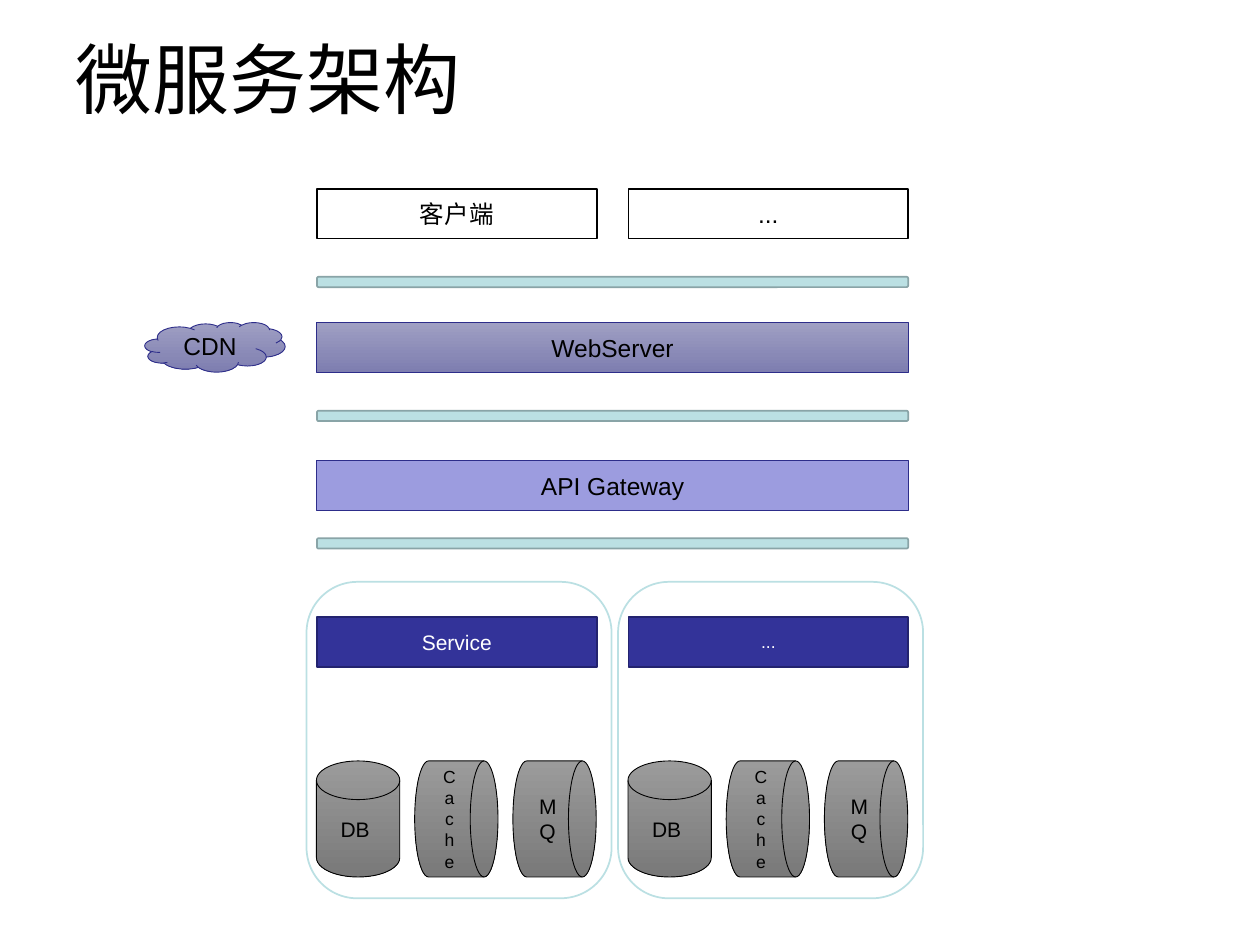
from dataclasses import dataclass

from pptx import Presentation
from pptx.dml.color import RGBColor
from pptx.enum.shapes import MSO_SHAPE as Shape
from pptx.enum.text import MSO_ANCHOR as Anchor, PP_ALIGN as Align
from pptx.util import Cm, Pt

FONT = "Arial"
LEFT, FULL_W, HALF_W = 6.39, 11.92, 5.64
COLUMN_STEP, STORE_STEP, STORE_W = 6.28, 1.98, 1.68
BAR_H = 1.0


@dataclass(frozen=True)
class Style:
    fill: tuple[str, ...]
    line: str
    line_pt: float = 1
    text: str = "000000"


PANEL = Style(("FFFFFF",), "BBE0E3")
CLIENT = Style(("FFFFFF",), "000000")
DIVIDER = Style(("BBE0E3",), "89A4A7")
WEB = Style(("9F9FC3", "7E7EB0"), "2D2D8A", 0.5)
GATEWAY = Style(("9C9CDF",), "2D2D8A", 0.5)
SERVICE = Style(("333399",), "23236F", 1, "FFFFFF")
STORE = Style(("9B9B9B", "797979"), "000000", 0.5)


@dataclass(frozen=True)
class Box:
    kind: Shape
    left: float
    top: float
    width: float
    height: float
    style: Style
    text: str = ""
    size: float = 14


def rgb(value: str) -> RGBColor:
    return RGBColor.from_string(value)


def write(tf, text: str, *, size: float, color: str, align: Align) -> None:
    tf.word_wrap = True
    tf.vertical_anchor = Anchor.MIDDLE
    p = tf.paragraphs[0]
    p.alignment = align
    r = p.add_run()
    r.text = text
    r.font.name = FONT
    r.font.size = Pt(size)
    r.font.color.rgb = rgb(color)


def paint(fill, colors: tuple[str, ...]) -> None:
    if len(colors) == 1:
        fill.solid()
        fill.fore_color.rgb = rgb(colors[0])
        return
    fill.gradient()
    fill.gradient_angle = 270
    for stop, color, position in zip(fill.gradient_stops, colors, (0, 1)):
        stop.color.rgb = rgb(color)
        stop.position = position


def draw(s, box: Box) -> None:
    sp = s.shapes.add_shape(
        box.kind, Cm(box.left), Cm(box.top), Cm(box.width), Cm(box.height))
    sp.shadow.inherit = False
    paint(sp.fill, box.style.fill)
    sp.line.color.rgb = rgb(box.style.line)
    sp.line.width = Pt(box.style.line_pt)
    if box.text:
        write(sp.text_frame, box.text, size=box.size,
              color=box.style.text, align=Align.CENTER)


def draw_column(s, left: float, client: str, service: str, service_size: float) -> None:
    draw(s, Box(Shape.ROUNDED_RECTANGLE, left - 0.21, 11.73, 6.15, 6.38, PANEL))
    draw(s, Box(Shape.FLOWCHART_PROCESS, left, 3.81, HALF_W, BAR_H, CLIENT, client))
    draw(s, Box(Shape.FLOWCHART_PROCESS, left, 12.44, HALF_W, BAR_H,
                SERVICE, service, service_size))
    stores = (
        (Shape.FLOWCHART_MAGNETIC_DISK, "DB ", 12),
        (Shape.FLOWCHART_DIRECT_ACCESS_STORAGE, "Cache", 10),
        (Shape.FLOWCHART_DIRECT_ACCESS_STORAGE, "MQ", 12),
    )
    for i, (kind, text, size) in enumerate(stores):
        draw(s, Box(kind, left - 0.01 + i * STORE_STEP, 15.34, STORE_W, 2.34,
                    STORE, text, size))


def main() -> None:
    prs = Presentation()
    prs.slide_width, prs.slide_height = Cm(25.4), Cm(19.05)
    s = prs.slides.add_slide(prs.slide_layouts[5])

    title = s.shapes.title
    title.left, title.top, title.width, title.height = (
        Cm(1.27), Cm(-0.03), Cm(22.86), Cm(3.18))
    write(title.text_frame, "微服务架构", size=44, color="000000", align=Align.LEFT)

    columns = (("客户端", "Service", 12), ("...", "...", 10))
    for i, column in enumerate(columns):
        draw_column(s, LEFT + i * COLUMN_STEP, *column)

    for top in (5.58, 8.28, 10.85):
        draw(s, Box(Shape.ROUNDED_RECTANGLE, LEFT, top, FULL_W, 0.21, DIVIDER))

    draw(s, Box(Shape.FLOWCHART_PROCESS, LEFT, 6.5, FULL_W, BAR_H, WEB, "WebServer"))
    draw(s, Box(Shape.FLOWCHART_PROCESS, LEFT, 9.29, FULL_W, BAR_H,
                GATEWAY, "API Gateway"))
    draw(s, Box(Shape.CLOUD, 2.92, 6.5, 2.83, BAR_H, WEB, "CDN"))

    prs.save("out.pptx")


if __name__ == "__main__":
    main()
